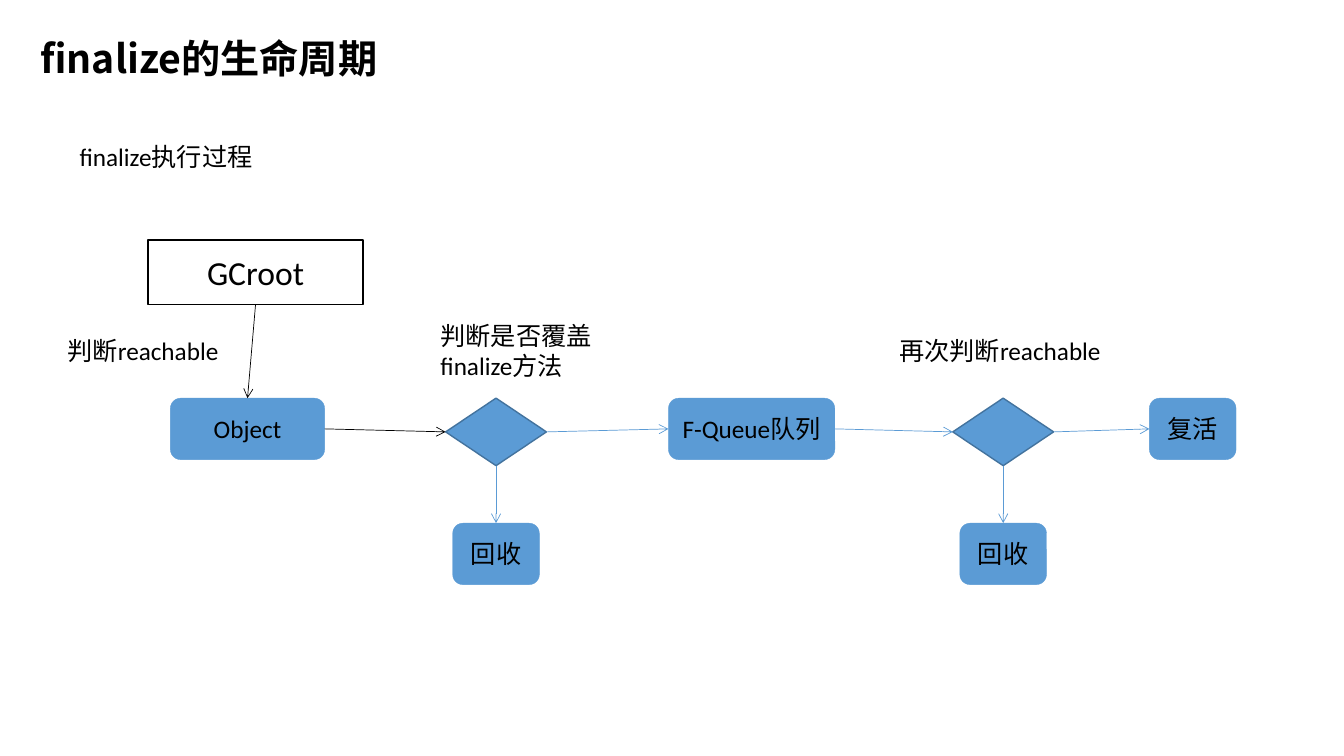
"""Build the slide on the life cycle of finalize as a flow chart."""
from dataclasses import dataclass

from lxml.etree import SubElement
from pptx import Presentation
from pptx.dml.color import RGBColor
from pptx.enum.shapes import MSO_CONNECTOR, MSO_SHAPE
from pptx.enum.text import MSO_ANCHOR, MSO_AUTO_SIZE, PP_ALIGN
from pptx.oxml.ns import qn
from pptx.shapes.autoshape import Shape
from pptx.slide import Slide
from pptx.text.text import TextFrame
from pptx.util import Emu, Pt

EMU_PER_PX = 9144
COLORS = {"ink": "000000", "paper": "FFFFFF", "blue": "5B9BD5", "edge": "43739E"}
CJK_FONT = "Noto Sans CJK SC"
BODY_FONT = {"name": "Calibri", "size": Pt(18), "bold": False}
ROOT_FONT = {**BODY_FONT, "size": Pt(24)}
TITLE_FONT = {"name": CJK_FONT, "size": Pt(28), "bold": True}
LABEL_FRAME = {"word_wrap": True, "auto_size": MSO_AUTO_SIZE.SHAPE_TO_FIT_TEXT,
               "vertical_anchor": MSO_ANCHOR.TOP}
NODE_FRAME = {"word_wrap": True, "vertical_anchor": MSO_ANCHOR.MIDDLE}
TOP, LEFT, BOTTOM, RIGHT = range(4)
FLOW_TOP, RECYCLE_TOP = 395, 519


@dataclass(frozen=True)
class NodeStyle:
    geometry: MSO_SHAPE
    height: int
    fill: str
    line: str
    line_width: float
    font: dict


@dataclass(frozen=True)
class Node:
    key: str
    text: str
    left: int
    top: int
    width: int
    style: NodeStyle


@dataclass(frozen=True)
class Label:
    text: str
    left: int
    top: int
    width: int
    height: int = 40


@dataclass(frozen=True)
class Arrow:
    start: str
    start_side: int
    end: str
    end_side: int
    color: str = "blue"


ROOT = NodeStyle(MSO_SHAPE.FLOWCHART_PROCESS, 64, "paper", "ink", 1, ROOT_FONT)
STEP = NodeStyle(MSO_SHAPE.ROUNDED_RECTANGLE, 61, "blue", "blue", 0.25, BODY_FONT)
DECISION = NodeStyle(MSO_SHAPE.FLOWCHART_DECISION, 67, "blue", "edge", 1, BODY_FONT)

TITLE = Label("finalize的生命周期", 30, 29, 551, 57)
LABELS = [
    Label("finalize执行过程", 69, 135, 209),
    Label("判断reachable", 57, 328, 172),
    Label("判断是否覆盖finalize方法", 427, 313, 172, 71),
    Label("再次判断reachable", 882, 328, 225),
]
NODES = [
    Node("root", "GCroot", 147, 238, 213, ROOT),
    Node("object", "Object", 169, FLOW_TOP, 153, STEP),
    Node("override", "", 442, FLOW_TOP, 100, DECISION),
    Node("queue", "F-Queue队列", 663, FLOW_TOP, 165, STEP),
    Node("recheck", "", 945, FLOW_TOP, 100, DECISION),
    Node("revive", "复活", 1140, FLOW_TOP, 86, STEP),
    Node("first recycle", "回收", 449, RECYCLE_TOP, 86, STEP),
    Node("second recycle", "回收", 952, RECYCLE_TOP, 86, STEP),
]
ARROWS = [
    Arrow("root", BOTTOM, "object", TOP, "ink"),
    Arrow("object", RIGHT, "override", LEFT, "ink"),
    Arrow("override", RIGHT, "queue", LEFT),
    Arrow("queue", RIGHT, "recheck", LEFT),
    Arrow("recheck", RIGHT, "revive", LEFT),
    Arrow("override", BOTTOM, "first recycle", TOP),
    Arrow("recheck", BOTTOM, "second recycle", TOP),
]


def px(length: int) -> Emu:
    return Emu(length * EMU_PER_PX)


def rgb(name: str) -> RGBColor:
    return RGBColor.from_string(COLORS[name])


def apply_format(target: object, values: dict) -> None:
    for attribute, value in values.items():
        setattr(target, attribute, value)


def write_text(frame: TextFrame, text: str, layout: dict, font: dict,
               alignment: PP_ALIGN) -> None:
    apply_format(frame, layout)
    paragraph = frame.paragraphs[0]
    paragraph.alignment = alignment
    run = paragraph.add_run()
    run.text = text
    apply_format(run.font, font)
    run.font.color.rgb = rgb("ink")
    SubElement(run.font._element, qn("a:ea"), typeface=CJK_FONT)


def place_title(slide: Slide, label: Label) -> None:
    heading = slide.shapes.title
    apply_format(heading, {"left": px(label.left), "top": px(label.top),
                           "width": px(label.width), "height": px(label.height)})
    write_text(heading.text_frame, label.text, LABEL_FRAME, TITLE_FONT, PP_ALIGN.LEFT)


def draw_label(slide: Slide, label: Label) -> None:
    caption = slide.shapes.add_textbox(
        px(label.left), px(label.top), px(label.width), px(label.height))
    write_text(caption.text_frame, label.text, LABEL_FRAME, BODY_FONT, PP_ALIGN.LEFT)


def draw_node(slide: Slide, node: Node) -> Shape:
    style = node.style
    outline = slide.shapes.add_shape(
        style.geometry, px(node.left), px(node.top), px(node.width), px(style.height))
    outline.shadow.inherit = False
    outline.fill.solid()
    outline.fill.fore_color.rgb = rgb(style.fill)
    outline.line.color.rgb = rgb(style.line)
    outline.line.width = Pt(style.line_width)
    if node.text:
        write_text(outline.text_frame, node.text, NODE_FRAME, style.font, PP_ALIGN.CENTER)
    return outline


def draw_arrow(slide: Slide, arrow: Arrow, nodes: dict[str, Shape]) -> None:
    link = slide.shapes.add_connector(MSO_CONNECTOR.STRAIGHT, 0, 0, 0, 0)
    link.begin_connect(nodes[arrow.start], arrow.start_side)
    link.end_connect(nodes[arrow.end], arrow.end_side)
    link.line.color.rgb = rgb(arrow.color)
    link.line.width = Pt(0.5)
    properties = link._element.spPr
    SubElement(properties.find(qn("a:ln")), qn("a:tailEnd"), type="arrow")
    SubElement(properties, qn("a:effectLst"))


def main() -> None:
    deck = Presentation()
    deck.slide_width, deck.slide_height = px(1333), px(750)
    slide = deck.slides.add_slide(deck.slide_layouts.get_by_name("Title Only"))
    place_title(slide, TITLE)
    for label in LABELS:
        draw_label(slide, label)
    nodes = {node.key: draw_node(slide, node) for node in NODES}
    for arrow in ARROWS:
        draw_arrow(slide, arrow, nodes)
    deck.save("out.pptx")


if __name__ == "__main__":
    main()
